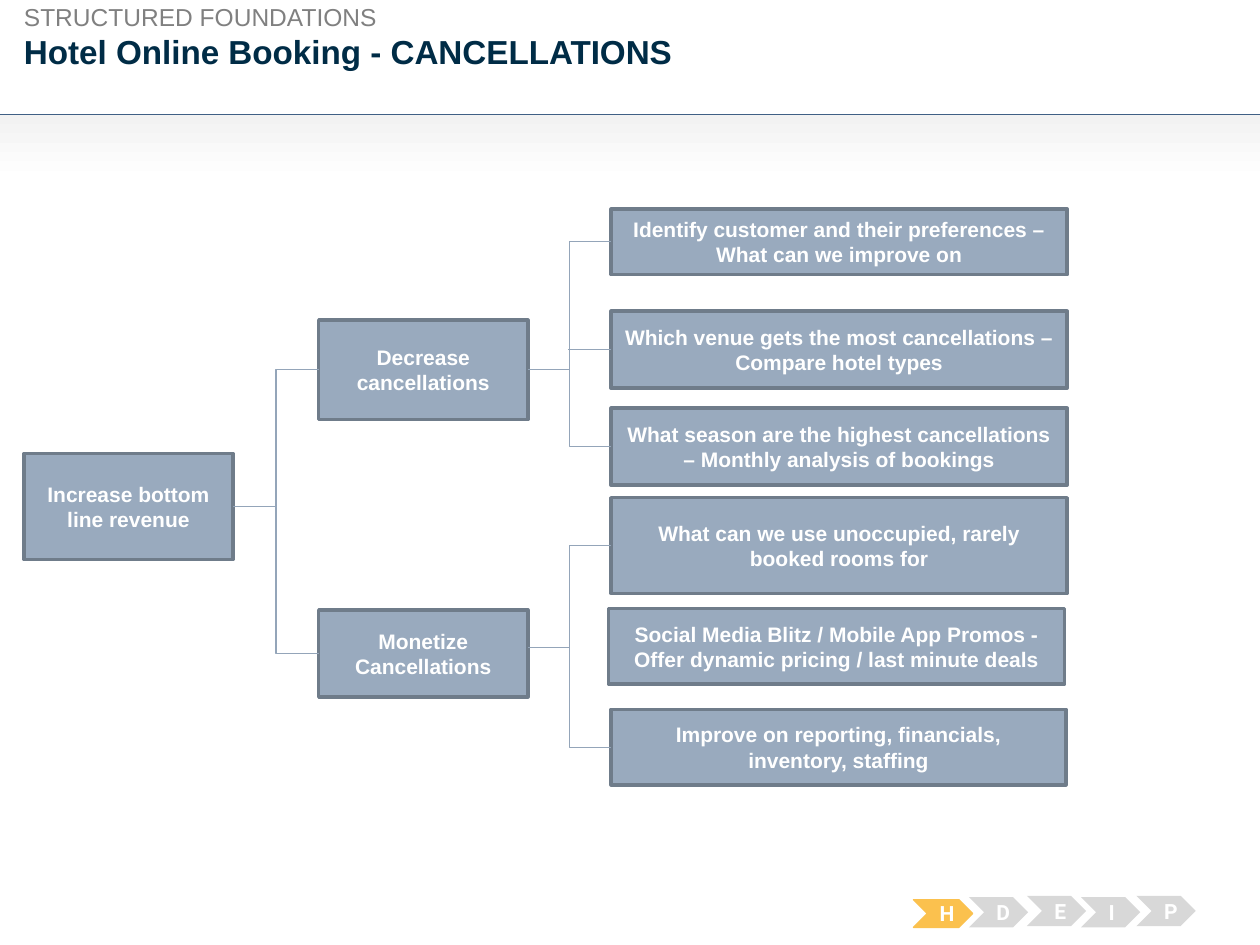
from lxml import etree
from pptx import Presentation
from pptx import util as u
from pptx.dml.color import RGBColor
from pptx.enum import shapes, text
from pptx.oxml.ns import qn

COLORS = {
    "title": "002C46", "grey": "808080", "white": "FFFFFF",
    "band": "F2F2F2", "rule": "406085",
    "box": "99AABE", "border": "6F7C8A", "link": "94A5B9",
    "active": "FBC14E", "idle": "D8D8D8",
}


def rgb(name):
    return RGBColor.from_string(COLORS[name])


class TreeSlide:
    font = "Arial"

    def __init__(self, prs):
        self.s = prs.slides.add_slide(prs.slide_layouts[5])

    def add_text(self, tf, words, size, color, bold=False, font=None,
                 align=text.PP_ALIGN.LEFT):
        p = tf.paragraphs[0]
        p.alignment = align
        r = p.add_run()
        r.text = words
        r.font.name = font or self.font
        r.font.size = u.Pt(size)
        r.font.bold = bold
        r.font.color.rgb = rgb(color)

    def heading(self, sp, at, words, size, color, bold=False):
        sp.left, sp.top, sp.width, sp.height = map(u.Inches, at)
        tf = sp.text_frame
        tf.margin_left = tf.margin_right = tf.margin_top = tf.margin_bottom = 0
        tf.word_wrap = True
        tf.auto_size = text.MSO_AUTO_SIZE.NONE
        tf.vertical_anchor = text.MSO_ANCHOR.TOP
        self.add_text(tf, words, size, color, bold)

    def title(self, at, words):
        self.heading(self.s.shapes.title, at, words, 19, "title", True)

    def kicker(self, at, words):
        sp = self.s.shapes.add_textbox(0, 0, 0, 0)
        self.heading(sp, at, words, 14, "grey")

    def shape(self, kind, at, fill, line=None, width=0.75):
        sp = self.s.shapes.add_shape(kind, *map(u.Inches, at))
        sp.shadow.inherit = False
        sp.fill.solid()
        sp.fill.fore_color.rgb = rgb(fill)
        if line:
            sp.line.color.rgb = rgb(line)
            sp.line.width = u.Pt(width)
        else:
            sp.line.fill.background()
        return sp

    def label(self, sp, words, font=None):
        tf = sp.text_frame
        tf.word_wrap = True
        tf.vertical_anchor = text.MSO_ANCHOR.MIDDLE
        self.add_text(tf, words, 12, "white", True, font, text.PP_ALIGN.CENTER)

    def gradient_band(self, at):
        sp = self.shape(shapes.MSO_SHAPE.RECTANGLE, at, "band")
        sp.fill.gradient()
        sp.fill.gradient_angle = 270
        for stop, color in zip(sp.fill.gradient_stops, ("band", "white")):
            stop.color.rgb = rgb(color)

    def box(self, at, words):
        sp = self.shape(shapes.MSO_SHAPE.RECTANGLE, at, "box", "border", 2)
        self.label(sp, words)
        return sp

    def chevron(self, at, letter, active):
        color = "active" if active else "idle"
        sp = self.shape(shapes.MSO_SHAPE.CHEVRON, at, color, color if active else None)
        self.label(sp, letter, "Roboto")

    def line(self, kind, start, end, color):
        c = self.s.shapes.add_connector(kind, *start, *end)
        c.line.color.rgb = rgb(color)
        c.line.width = u.Pt(0.75)
        etree.SubElement(c._element.spPr, qn("a:effectLst"))

    def branch(self, parent, child, start_y=None):
        """Elbow from the parent's right side to the middle of the child's left side."""
        y = start_y or parent.top + parent.height // 2
        self.line(shapes.MSO_CONNECTOR.ELBOW, (parent.left + parent.width, y),
                  (child.left, child.top + child.height // 2), "link")


def main():
    prs = Presentation()
    prs.slide_width, prs.slide_height = u.Inches(10), u.Inches(7.5)
    slide = TreeSlide(prs)
    straight = shapes.MSO_CONNECTOR.STRAIGHT

    slide.title((0.19, 0.25, 9.43, 0.33), "Hotel Online Booking - CANCELLATIONS")
    slide.kicker((0.19, 0.02, 2.84, 0.24), "STRUCTURED FOUNDATIONS")
    slide.gradient_band((0, 0.91, 10, 0.52))
    rule_y = u.Inches(0.91)
    slide.line(straight, (0, rule_y), (prs.slide_width, rule_y), "rule")

    steps = [("H", 7.25, 7.14, 0.22), ("D", 7.69, 7.12, 0.24), ("E", 8.15, 7.11, 0.24),
             ("I", 8.58, 7.12, 0.24), ("P", 9.02, 7.11, 0.24)]
    for letter, left, top, height in steps:
        slide.chevron((left, top, 0.47, height), letter, letter == "H")

    goal = slide.box((0.19, 3.6, 1.66, 0.84), "Increase bottom line revenue")
    decrease = slide.box((2.53, 2.54, 1.66, 0.79), "Decrease cancellations")
    monetize = slide.box((2.53, 4.84, 1.66, 0.69), "Monetize Cancellations")
    identify, venue, season, rooms, promos, reporting = [
        slide.box(at, words) for at, words in [
            ((4.85, 1.66, 3.62, 0.52),
             "Identify customer and their preferences – What can we improve on"),
            ((4.85, 2.47, 3.62, 0.61),
             "Which venue gets the most cancellations – Compare hotel types"),
            ((4.85, 3.24, 3.62, 0.61),
             "What season are the highest cancellations – Monthly analysis of bookings"),
            ((4.85, 3.95, 3.62, 0.76),
             "What can we use unoccupied, rarely booked rooms for"),
            ((4.83, 4.83, 3.62, 0.6),
             "Social Media Blitz / Mobile App Promos - "
             "Offer dynamic pricing / last minute deals"),
            ((4.85, 5.63, 3.61, 0.6),
             "Improve on reporting, financials, inventory, staffing"),
        ]]

    for child in (decrease, monetize):
        slide.branch(goal, child)
    for child in (identify, season):
        slide.branch(decrease, child)
    for child in (rooms, reporting):
        slide.branch(monetize, child, u.Inches(5.14))
    venue_y = venue.top + venue.height // 2
    slide.line(straight, (u.Inches(4.51), venue_y), (venue.left, venue_y), "link")

    prs.save("out.pptx")


if __name__ == "__main__":
    main()
